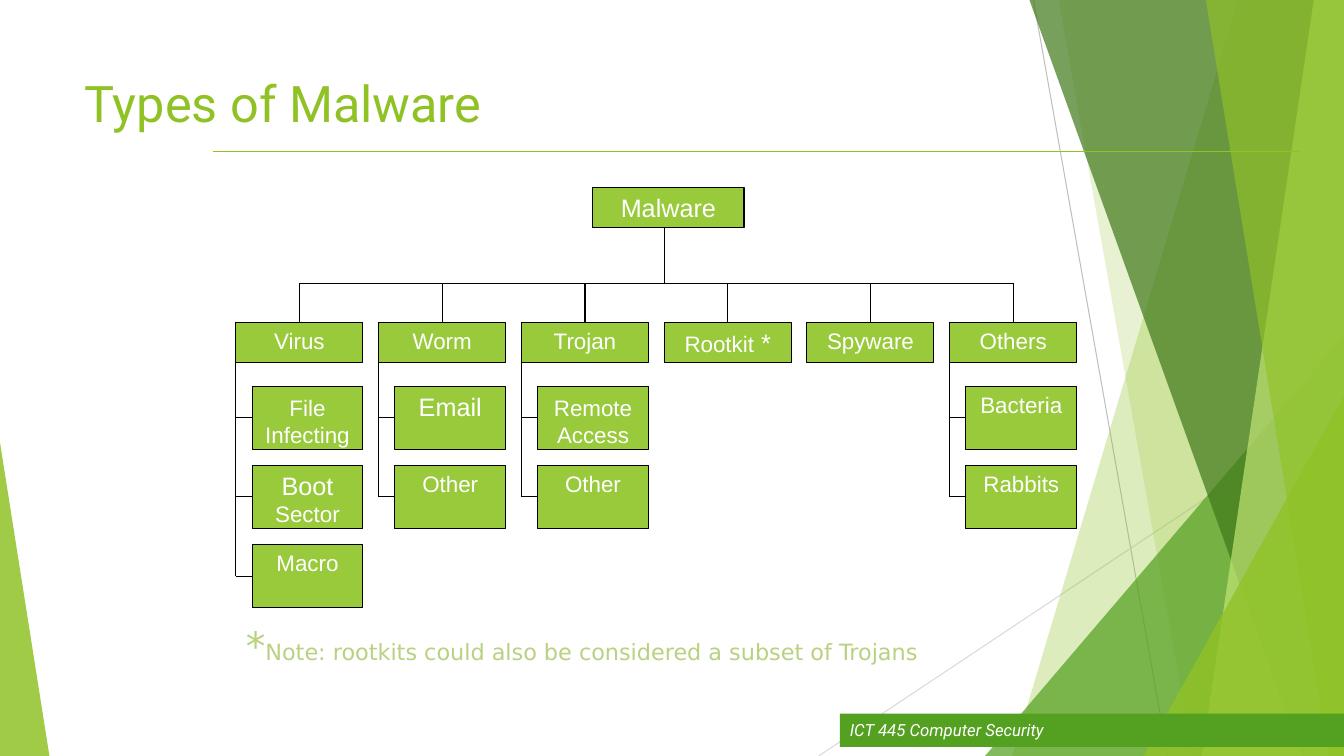
from dataclasses import dataclass

from lxml.etree import SubElement
from pptx import Presentation
from pptx.dml.color import RGBColor
from pptx.enum.shapes import MSO_CONNECTOR, MSO_SHAPE
from pptx.enum.text import MSO_ANCHOR, MSO_AUTO_SIZE, PP_ALIGN
from pptx.oxml.ns import qn
from pptx.util import Inches, Pt

WIDE, HIGH = 13.33, 7.5
GREEN, LEAF, MOSS = "90C226", "99CA3C", "54A021"
WHITE, BLACK = "FFFFFF", "000000"


@dataclass
class Run:
    text: str
    size: int = 16


@dataclass
class Pane:
    """Sheet from a slanted left edge to the right side of the slide."""
    top: float
    foot: float
    fill: str
    alpha: int


@dataclass
class Wedge:
    """Triangle standing on the bottom of the slide."""
    left: float
    top: float
    width: float
    tip: float
    fill: str
    alpha: int


@dataclass
class Branch:
    head: list[Run]
    kids: list[list[Run]]


DECOR = [
    Pane(12.28, 10.04, GREEN, 30),
    Pane(10.5, 11.83, GREEN, 20),
    Wedge(9.77, 3.33, 3.56, 1, MOSS, 72),
    Pane(10.21, 12.91, "3F7819", 70),
    Pane(13.03, 11.92, "C0E474", 70),
    Pane(11.96, 13.18, GREEN, 65),
    Wedge(11.34, 3.93, 1.99, 1, GREEN, 80),
    Wedge(0, 4.39, 0.49, 0, GREEN, 85),
]

TREE = [
    Branch([Run("Virus")], [
        [Run("File"), Run(" ", 18), Run("Infecting")],
        [Run("Boot ", 18), Run("Sector")],
        [Run("Macro")],
    ]),
    Branch([Run("Worm")], [[Run("Email", 18)], [Run("Other")]]),
    Branch([Run("Trojan")], [
        [Run("Remote"), Run(" ", 18), Run("Access")],
        [Run("Other")],
    ]),
    Branch([Run("Rootkit"), Run(" *", 18)], []),
    Branch([Run("Spyware")], []),
    Branch([Run("Others")], [[Run("Bacteria")], [Run("Rabbits")]]),
]


def paint(form, color: str) -> None:
    """Set a solid colour on a fill or a font's fill."""
    form.solid()
    form.fore_color.rgb = RGBColor.from_string(color)


def write(para, runs: list[Run], face: str, color: str, slant: bool = False) -> None:
    for item in runs:
        run = para.add_run()
        run.text = item.text
        run.font.name, run.font.size = face, Pt(item.size)
        run.font.italic = slant
        paint(run.font.fill, color)


def link(slide, start: tuple, end: tuple, color: str = BLACK, width: float = 0.75):
    line = slide.shapes.add_connector(
        MSO_CONNECTOR.STRAIGHT, *(Inches(n) for n in (*start, *end)))
    paint(line.line.fill, color)
    line.line.width = Pt(width)
    SubElement(line._element.spPr, qn("a:effectLst"))
    return line


def draw(slide, part: Pane | Wedge) -> None:
    if isinstance(part, Pane):
        pen = slide.shapes.build_freeform(Inches(part.top), 0, 1)
        pen.add_line_segments([(Inches(x), Inches(y)) for x, y in (
            (WIDE, 0), (WIDE, HIGH), (part.foot, HIGH))])
        shape = pen.convert_to_shape()
    else:
        shape = slide.shapes.add_shape(
            MSO_SHAPE.ISOSCELES_TRIANGLE, Inches(part.left), Inches(part.top),
            Inches(part.width), Inches(HIGH - part.top))
        shape.adjustments[0] = part.tip
    shape.shadow.inherit = False
    shape.line.fill.background()
    paint(shape.fill, part.fill)
    tint = shape._element.spPr.find(f"{qn('a:solidFill')}/{qn('a:srgbClr')}")
    SubElement(tint, qn("a:alpha"), val=str(part.alpha * 1000))


def block(slide, left: float, top: float, width: float, height: float, fill: str):
    shape = slide.shapes.add_shape(
        MSO_SHAPE.RECTANGLE, *(Inches(n) for n in (left, top, width, height)))
    shape.shadow.inherit = False
    paint(shape.fill, fill)
    return shape


def node(slide, left: float, top: float, width: float, height: float, runs: list[Run]):
    shape = block(slide, left, top, width, height, LEAF)
    paint(shape.line.fill, BLACK)
    shape.line.width = Pt(0.75)
    shape.text_frame.vertical_anchor = MSO_ANCHOR.TOP
    para = shape.text_frame.paragraphs[0]
    para.alignment = PP_ALIGN.CENTER
    write(para, runs, "Arial", WHITE)
    return shape


def chart(slide) -> None:
    left, top, rail = 2.34, 3.2, 2.81
    width, height, inset = 1.26, 0.4, 0.16
    step, drop = (9.42 - left) / 5, (5.4 - 3.83) / 2

    # Root and rail
    node(slide, 5.88, 1.86, 1.5, height, [Run("Malware", 18)])
    link(slide, (6.59, 2.26), (6.59, rail))
    first = left + width / 2
    link(slide, (first, rail), (first + 5 * step, rail))

    # Branches
    for col, branch in enumerate(TREE):
        x = left + col * step
        mid = x + width / 2
        head = node(slide, x, top, width, height, branch.head)
        link(slide, (mid, top), (mid, rail)).begin_connect(head, 0)
        for row, runs in enumerate(branch.kids):
            y = 3.83 + row * drop
            kid = node(slide, x + inset, y, 1.1, 0.63, runs)
            y += 0.63 / 2
            link(slide, (x, y), (x + inset, y)).end_connect(kid, 1)
        if branch.kids:
            link(slide, (x, top + height / 2), (x, y)).begin_connect(head, 1)


def main() -> None:
    deck = Presentation()
    deck.slide_width, deck.slide_height = Inches(WIDE), Inches(HIGH)
    slide = deck.slides.add_slide(deck.slide_layouts[5])

    # Backdrop
    link(slide, (10.25, 0), (11.58, HIGH), "BFBFBF")
    link(slide, (WIDE, 4.03), (8.12, HIGH), "D9D9D9")
    for part in DECOR:
        draw(slide, part)

    # Course bar and rule
    bar = block(slide, 8.33, 7.08, 5, 0.33, MOSS)
    bar.line.fill.background()
    bar.text_frame.vertical_anchor = MSO_ANCHOR.MIDDLE
    para = bar.text_frame.paragraphs[0]
    para.alignment = PP_ALIGN.LEFT
    write(para, [Run("ICT 445 Computer Security", 12)], "Roboto", WHITE, True)
    link(slide, (2.11, 1.5), (12.89, 1.5), GREEN, 1)

    # Title
    title = slide.shapes.title
    title.left, title.top = Inches(0.74), Inches(0.67)
    title.width, title.height = Inches(9.4), Inches(1.44)
    frame = title.text_frame
    frame.auto_size = MSO_AUTO_SIZE.NONE
    frame.vertical_anchor = MSO_ANCHOR.TOP
    frame.paragraphs[0].alignment = PP_ALIGN.LEFT
    write(frame.paragraphs[0], [Run("Types of Malware", 36)], "Roboto", GREEN)

    chart(slide)

    # Note
    note = slide.shapes.add_textbox(
        Inches(2.34), Inches(6.11), Inches(8.67), Inches(0.63))
    note.text_frame.word_wrap = True
    para = note.text_frame.paragraphs[0]
    props = para._p.get_or_add_pPr()
    props.set("marL", str(Inches(0.51)))
    props.set("indent", str(Inches(-0.51)))
    write(para, [Run("*", 28), Run(
        "Note: rootkits could also be considered a subset of Trojans")],
        "DejaVu Sans", "B9D181")

    deck.save("out.pptx")


if __name__ == "__main__":
    main()
